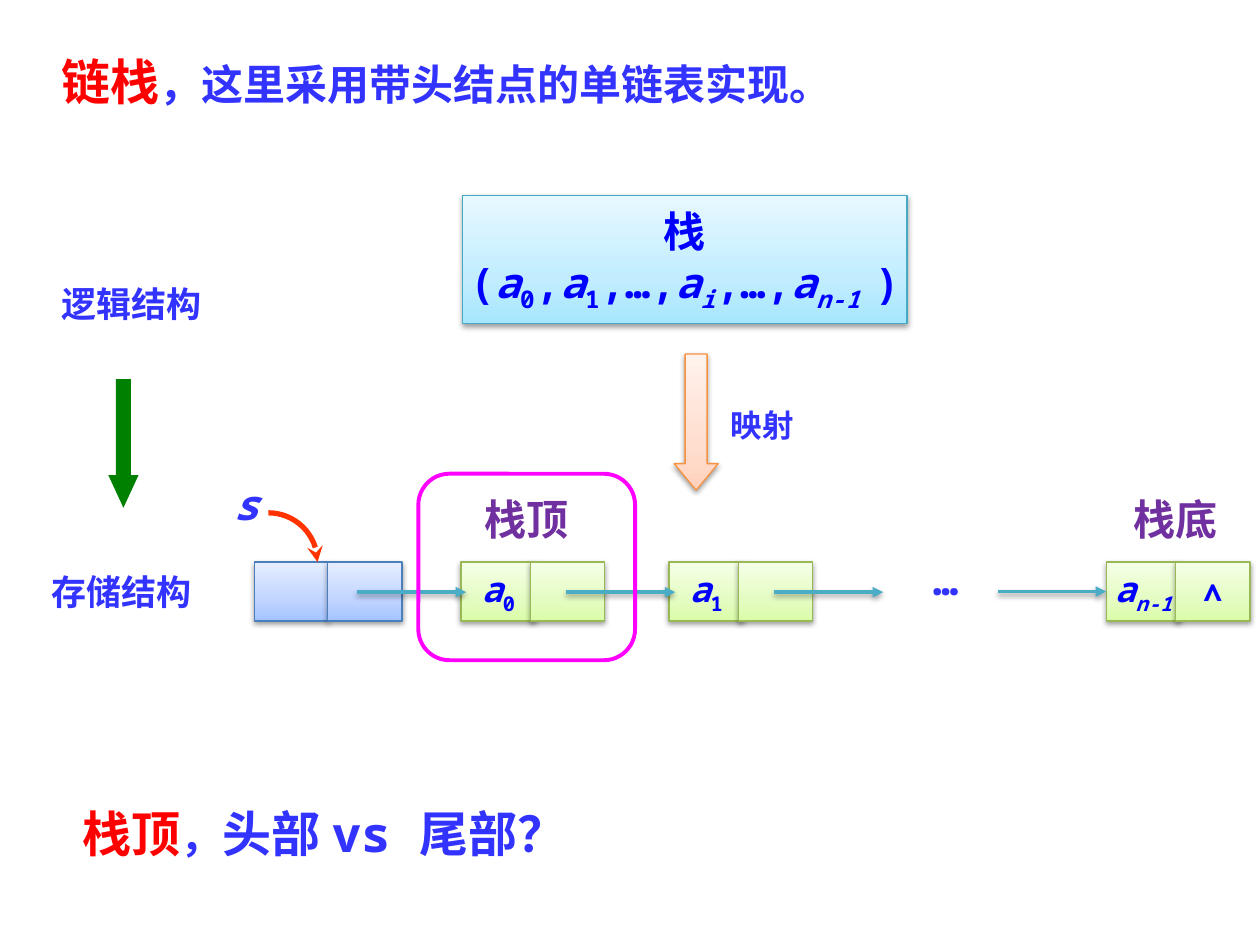
"""Build a slide that maps a stack onto a singly linked list with a head node."""
from math import cos, pi, sin

from lxml.etree import SubElement
from pptx import Presentation
from pptx.dml.color import RGBColor
from pptx.enum.shapes import MSO_CONNECTOR, MSO_SHAPE
from pptx.enum.text import MSO_ANCHOR, PP_ALIGN
from pptx.oxml import parse_xml
from pptx.oxml.ns import nsdecls, qn
from pptx.util import Inches, Pt

BLUE = RGBColor(0x33, 0x33, 0xFF)
DEEP_BLUE = RGBColor(0x00, 0x00, 0xFF)
RED = RGBColor(0xFF, 0x00, 0x00)
PURPLE = RGBColor(0x70, 0x30, 0xA0)
GREEN = RGBColor(0x00, 0x80, 0x00)
MAGENTA = RGBColor(0xFF, 0x00, 0xFF)
ORANGE_RED = RGBColor(0xFF, 0x33, 0x00)
LINK = RGBColor(0x4B, 0xAC, 0xC6)
STACK_LINE = RGBColor(0x46, 0xAA, 0xC5)
MAP_LINE = RGBColor(0xF6, 0x92, 0x40)
HEAD_LINE = RGBColor(0x4B, 0x7E, 0xBC)
NODE_LINE = RGBColor(0x98, 0xB9, 0x55)
STACK_FILL = [RGBColor(0xA7, 0xE6, 0xFF), RGBColor(0xC1, 0xED, 0xFF), RGBColor(0xE7, 0xF8, 0xFF)]
MAP_FILL = [RGBColor(0xFF, 0xD2, 0xBD), RGBColor(0xFF, 0xDE, 0xD0), RGBColor(0xFF, 0xF2, 0xED)]
HEAD_FILL = [RGBColor(0xA4, 0xC4, 0xFF), RGBColor(0xBF, 0xD4, 0xFF), RGBColor(0xE6, 0xEE, 0xFF)]
NODE_FILL = [RGBColor(0xDA, 0xFD, 0xA7), RGBColor(0xE4, 0xFC, 0xC2), RGBColor(0xF5, 0xFF, 0xE7)]
MONO = "Noto Sans Mono"
SANS = "Noto Sans CJK SC"
TITLE = "Noto Sans CJK JP"


def add_runs(paragraph, runs, size, color, font=MONO):
    for text, style in runs:
        run = paragraph.add_run()
        run.text = text
        run.font.size = Pt(size)
        run.font.bold = True
        run.font.italic = "i" in style
        run.font.color.rgb = color
        run.font.name = font
        properties = run.font._element
        east_asian = SubElement(properties, qn("a:ea"))
        east_asian.set("typeface", SANS if font == MONO else font)
        if "_" in style:
            properties.set("baseline", "-25000")


def decorate(shape, color, width, stops=()):
    properties = shape._element.spPr
    if stops:
        shape.fill.background()
        marks = "".join(
            f'<a:gs pos="{position}"><a:srgbClr val="{stop}"/></a:gs>'
            for position, stop in zip((0, 35000, 100000), stops))
        gradient = parse_xml(
            f'<a:gradFill {nsdecls("a")} rotWithShape="1"><a:gsLst>{marks}</a:gsLst>'
            '<a:lin ang="16200000" scaled="0"/></a:gradFill>')
        properties.replace(properties.find(qn("a:noFill")), gradient)
    shape.line.color.rgb = color
    shape.line.width = Pt(width)
    properties.append(parse_xml(
        f'<a:effectLst {nsdecls("a")}><a:outerShdw blurRad="40000" dist="20000" dir="5400000" '
        'rotWithShape="0"><a:srgbClr val="000000"><a:alpha val="38000"/></a:srgbClr>'
        '</a:outerShdw></a:effectLst>'))


presentation = Presentation()
presentation.slide_width = Inches(10)
presentation.slide_height = Inches(7.5)
slide = presentation.slides.add_slide(presentation.slide_layouts[6])
shapes = slide.shapes

stack = shapes.add_shape(MSO_SHAPE.RECTANGLE, Inches(3.67), Inches(1.55), Inches(3.53), Inches(1.02))
decorate(stack, STACK_LINE, 0.75, STACK_FILL)
stack.text_frame.word_wrap = False
stack.text_frame.vertical_anchor = MSO_ANCHOR.MIDDLE
stack_lines = [
    [("栈", "")],
    [("(", ""), ("a", "i"), ("0", "_"), (",", ""), ("a", "i"), ("1", "_"), (",…,", ""),
     ("a", "i"), ("i", "i_"), (",…,", ""), ("a", "i"), ("n-1 ", "i_"), (")", "")],
]
for index, runs in enumerate(stack_lines):
    paragraph = stack.text_frame.add_paragraph() if index else stack.text_frame.paragraphs[0]
    paragraph.alignment = PP_ALIGN.CENTER
    add_runs(paragraph, runs, 24, DEEP_BLUE)

map_arrow = shapes.add_shape(MSO_SHAPE.DOWN_ARROW, Inches(5.35), Inches(2.81), Inches(0.35), Inches(1.08))
map_arrow.adjustments[1] = 0.6
decorate(map_arrow, MAP_LINE, 0.75, MAP_FILL)

structure_arrow = shapes.add_shape(MSO_SHAPE.DOWN_ARROW, Inches(0.86), Inches(3.01), Inches(0.24), Inches(1.02))
structure_arrow.adjustments[1] = 1.08
structure_arrow.shadow.inherit = False
structure_arrow.fill.solid()
structure_arrow.fill.fore_color.rgb = GREEN
structure_arrow.line.fill.background()

nodes = [
    (2.02, 0.58, HEAD_LINE, HEAD_FILL, [], []),
    (3.66, 0.55, NODE_LINE, NODE_FILL, [("a", "i"), ("0", "_")], []),
    (5.31, 0.55, NODE_LINE, NODE_FILL, [("a", "i"), ("1", "_")], []),
    (8.78, 0.55, NODE_LINE, NODE_FILL, [("a", "i"), ("n-1", "i_")], [("∧", "")]),
]
data_cells = []
for left, offset, line_color, stops, data, pointer in nodes:
    for x, runs, size in ((left, data, 20), (left + offset, pointer, 18)):
        cell = shapes.add_shape(MSO_SHAPE.RECTANGLE, Inches(x), Inches(4.46), Inches(0.59), Inches(0.47))
        decorate(cell, line_color, 0.75, stops)
        cell.text_frame.word_wrap = False
        cell.text_frame.vertical_anchor = MSO_ANCHOR.MIDDLE
        cell.text_frame.paragraphs[0].alignment = PP_ALIGN.CENTER
        add_runs(cell.text_frame.paragraphs[0], runs, size, DEEP_BLUE)
        if x == left:
            data_cells.append(cell)

for start in (2.83, 4.49, 6.14, 7.92):
    link = shapes.add_connector(
        MSO_CONNECTOR.STRAIGHT, Inches(start), Inches(4.7), Inches(start + 0.87), Inches(4.7))
    if start == 7.92:
        link.begin_y = data_cells[-1].top + data_cells[-1].height // 2
        link.end_connect(data_cells[-1], 1)
    decorate(link, LINK, 2)
    SubElement(link.line._get_or_add_ln(), qn("a:tailEnd")).set("type", "triangle")

radius = 0.39
steps = 16
angles = [pi / 2 * step / steps for step in range(steps + 1)]
points = [(Inches(2.13 + radius * sin(angle)), Inches(4.07 + radius * (1 - cos(angle)))) for angle in angles]
builder = shapes.build_freeform(*points[0])
builder.add_line_segments(points[1:], close=False)
head_pointer = builder.convert_to_shape()
head_pointer.shadow.inherit = False
head_pointer.fill.background()
head_pointer.line.color.rgb = ORANGE_RED
head_pointer.line.width = Pt(3)
SubElement(head_pointer.line._get_or_add_ln(), qn("a:tailEnd")).set("type", "stealth")

top_frame = shapes.add_shape(MSO_SHAPE.ROUNDED_RECTANGLE, Inches(3.32), Inches(3.76), Inches(1.72), Inches(1.48))
top_frame.shadow.inherit = False
top_frame.fill.background()
top_frame.line.color.rgb = MAGENTA
top_frame.line.width = Pt(2.25)

LEFT, CENTER = PP_ALIGN.LEFT, PP_ALIGN.CENTER
labels = [
    (5.7, 3.17, 1.01, 0.4, LEFT, [("映射", "", 18, BLUE, MONO)]),
    (0.39, 2.19, 1.48, 0.44, LEFT, [("逻辑结构", "", 20, BLUE, SANS)]),
    (0.31, 4.48, 1.72, 0.44, LEFT, [("存储结构", "", 20, BLUE, SANS)]),
    (7.03, 4.34, 0.95, 0.5, CENTER, [("…", "", 24, BLUE, MONO)]),
    (1.72, 3.75, 0.47, 0.5, CENTER, [("s", "i", 24, BLUE, MONO)]),
    (3.63, 3.87, 1.1, 0.5, CENTER, [("栈顶", "", 24, PURPLE, SANS)]),
    (8.78, 3.87, 1.1, 0.5, CENTER, [("栈底", "", 24, PURPLE, SANS)]),
    (0.39, 0.36, 8.2, 0.57, LEFT, [
        ("链栈", "", 28, RED, TITLE), ("，这里采用带头结点的单链表实现。", "", 24, BLUE, MONO)]),
    (0.56, 6.33, 8.2, 0.57, LEFT, [
        ("栈顶", "", 28, RED, TITLE), ("，", "", 24, BLUE, MONO), ("头部 vs 尾部？", "", 28, BLUE, MONO)]),
]
for left, top, width, height, alignment, runs in labels:
    label = shapes.add_textbox(Inches(left), Inches(top), Inches(width), Inches(height))
    label.text_frame.word_wrap = True
    paragraph = label.text_frame.paragraphs[0]
    paragraph.alignment = alignment
    for text, style, size, color, font in runs:
        add_runs(paragraph, [(text, style)], size, color, font)

presentation.save("out.pptx")
